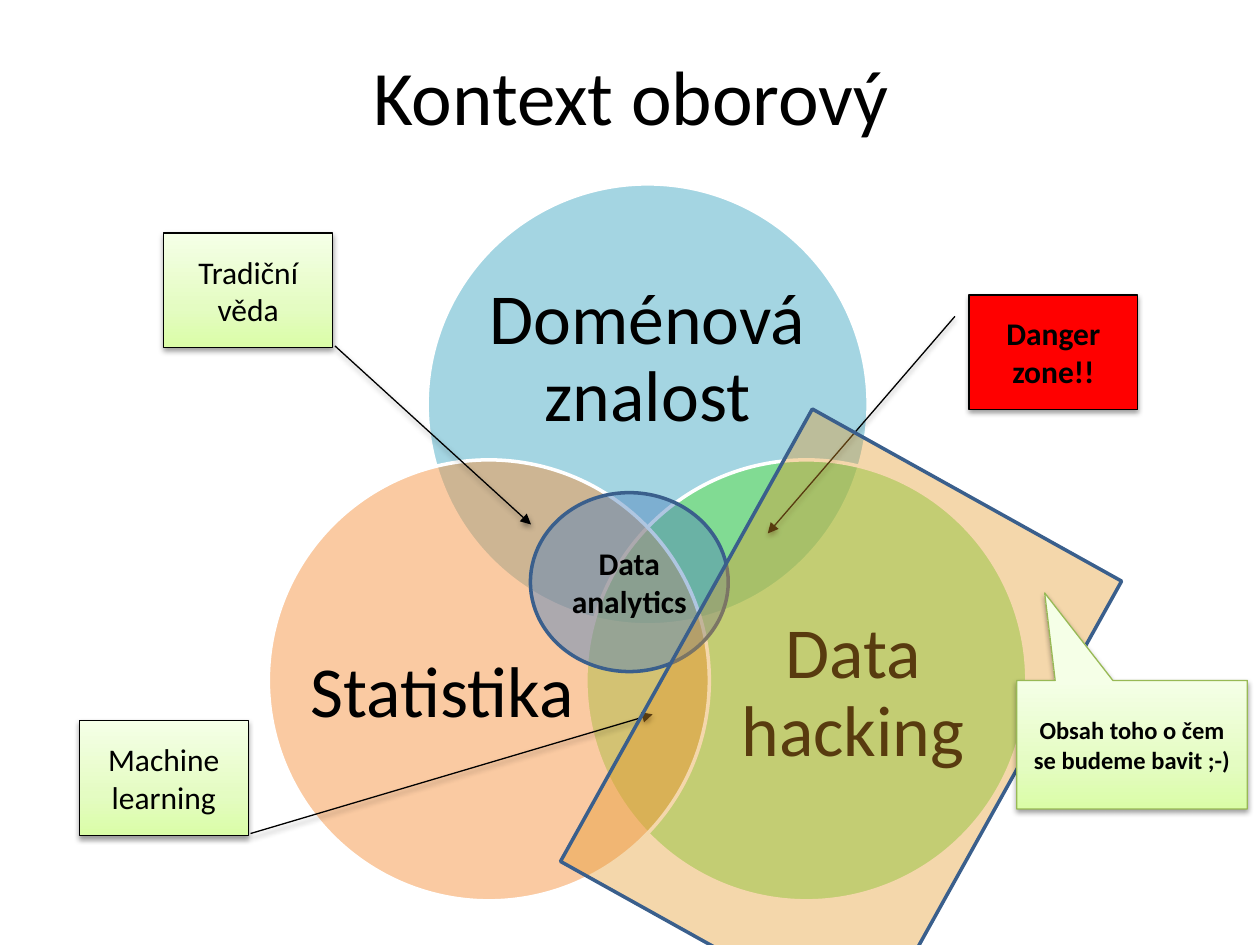
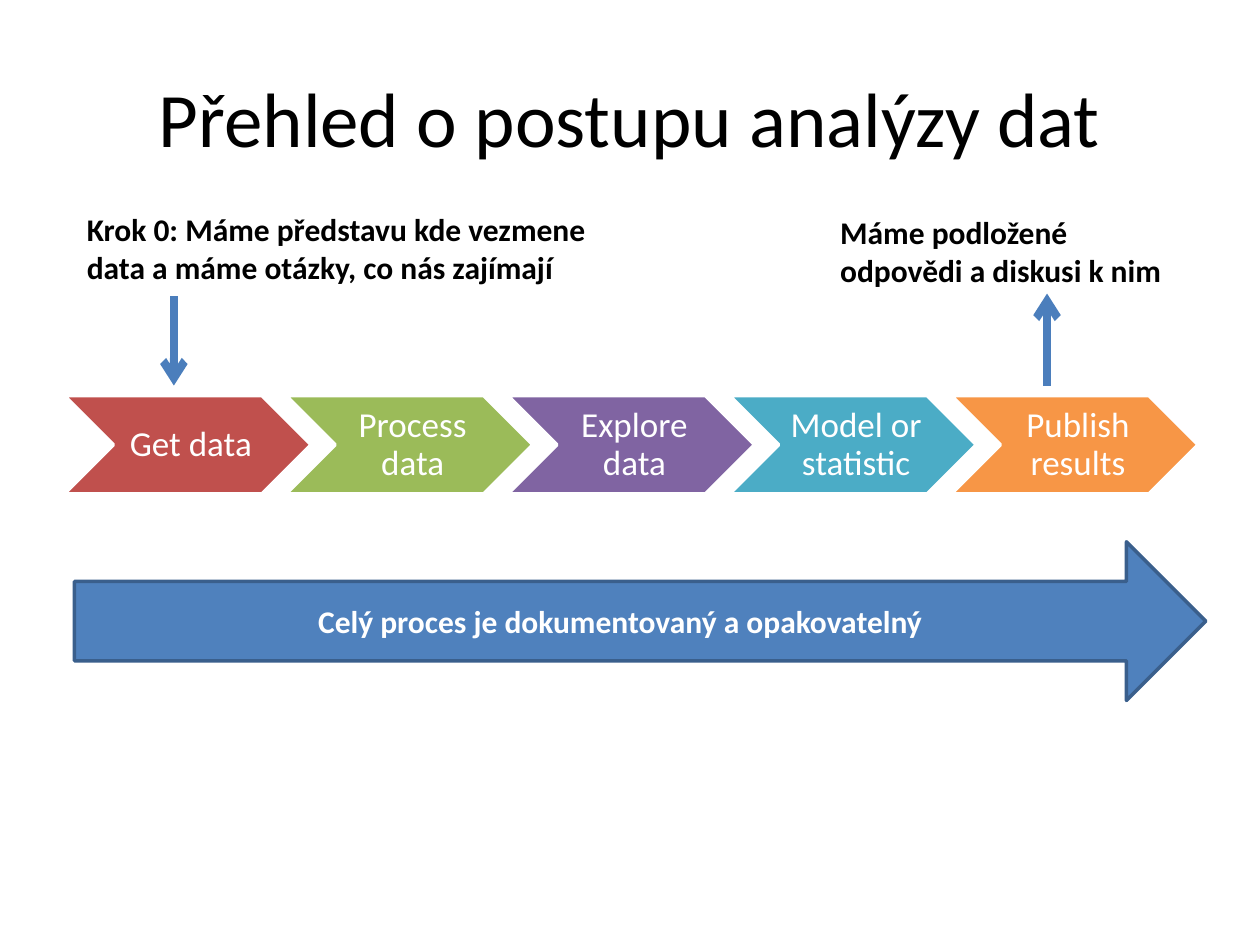
from dataclasses import dataclass

from lxml.etree import SubElement
from pptx import Presentation
from pptx.dml.color import RGBColor
from pptx.enum.shapes import MSO_CONNECTOR, MSO_SHAPE
from pptx.enum.text import MSO_ANCHOR, PP_ALIGN
from pptx.oxml.ns import qn
from pptx.shapes.autoshape import Shape
from pptx.slide import Slide
from pptx.text.text import TextFrame
from pptx.util import Inches, Pt

FONT = "Calibri"
BLACK = RGBColor(0x00, 0x00, 0x00)
WHITE = RGBColor(0xFF, 0xFF, 0xFF)
BLUE = RGBColor(0x4F, 0x81, 0xBD)
ARROW_BLUE = RGBColor(0x4B, 0x7E, 0xBC)
NAVY = RGBColor(0x3A, 0x5F, 0x8C)
RED = RGBColor(0xC0, 0x50, 0x4D)
GREEN = RGBColor(0x9B, 0xBB, 0x59)
PURPLE = RGBColor(0x80, 0x64, 0xA2)
AQUA = RGBColor(0x4B, 0xAC, 0xC6)
ORANGE = RGBColor(0xF7, 0x96, 0x46)
LIME = RGBColor(0x60, 0xE1, 0x46)
OCHRE = RGBColor(0xE3, 0x98, 0x29)
DANGER = RGBColor(0xFF, 0x00, 0x00)
LEAF = RGBColor(0x98, 0xB9, 0x55)
PALE_GREEN_STOPS = (
    (0, RGBColor(0xDA, 0xFD, 0xA7)),
    (35, RGBColor(0xE4, 0xFC, 0xC2)),
    (100, RGBColor(0xF5, 0xFF, 0xE7)),
)


@dataclass(frozen=True)
class Box:
    left: float
    top: float
    width: float
    height: float


@dataclass(frozen=True)
class TextStyle:
    size: float
    color: RGBColor = BLACK
    bold: bool = False
    align: PP_ALIGN = PP_ALIGN.CENTER
    anchor: MSO_ANCHOR = MSO_ANCHOR.MIDDLE
    spacing: float = 1.0
    insets: tuple[float, float, float, float] = (0.1, 0.05, 0.1, 0.05)


@dataclass(frozen=True)
class Field:
    label: str
    circle: Box
    label_box: Box
    color: RGBColor


@dataclass(frozen=True)
class Callout:
    label: str
    left: float
    top: float
    pointer: tuple[float, float, float, float]
    danger: bool = False


@dataclass(frozen=True)
class Note:
    label: str
    box: Box
    arrow_x: float
    arrow_start: float
    arrow_end: float


TITLE = TextStyle(44)
FIELD_LABEL = TextStyle(41, spacing=0.9, insets=(0, 0, 0, 0))
STEP_LABEL = TextStyle(20, WHITE, spacing=0.9, insets=(0.09, 0.03, 0.03, 0.03))
BODY = TextStyle(18)
BODY_BOLD = TextStyle(18, bold=True)
NOTE = TextStyle(18, bold=True, align=PP_ALIGN.LEFT, anchor=MSO_ANCHOR.TOP)
BANNER = TextStyle(18, WHITE, bold=True)
BUBBLE = TextStyle(14, bold=True)

CIRCLE = 3.5
FIELDS = (
    Field("Doménová znalost", Box(3.39, 1.46, CIRCLE, CIRCLE), Box(3.86, 2.07, 2.56, 1.57), AQUA),
    Field("Data hacking", Box(4.65, 3.65, CIRCLE, CIRCLE), Box(5.72, 4.55, 2.1, 1.92), LIME),
    Field("Statistika", Box(2.13, 3.65, CIRCLE, CIRCLE), Box(2.46, 4.55, 2.1, 1.92), ORANGE),
)
CALLOUTS = (
    Callout("Tradiční věda", 1.3, 1.85, (0.984, 1.014, 2.542, 2.175)),
    Callout("Danger zone!!", 7.69, 2.34, (0.188, -0.083, 2.081, -1.191), danger=True),
    Callout("Machine learning", 0.63, 5.72, (0.984, 1.014, -0.056, 3.395)),
)
STEPS = (
    ("Get data", RED),
    ("Process data", GREEN),
    ("Explore data", PURPLE),
    ("Model or statistic", AQUA),
    ("Publish results", ORANGE),
)
STEP_LEFT, STEP_TOP, STEP_PITCH = 0.51, 3.14, 1.76
NOTES = (
    Note("Krok 0: Máme představu kde vezmene data a máme otázky, co nás zajímají",
         Box(0.59, 1.62, 4.65, 0.71), 1.38, 2.35, 3.06),
    Note("Máme podložené odpovědi a diskusi k nim",
         Box(6.57, 1.64, 2.76, 0.71), 8.31, 3.06, 2.33),
)


def write(frame: TextFrame, text: str, style: TextStyle) -> None:
    """Fill a text frame with one styled paragraph."""
    frame.word_wrap = True
    frame.vertical_anchor = style.anchor
    left, top, right, bottom = style.insets
    frame.margin_left, frame.margin_top = Inches(left), Inches(top)
    frame.margin_right, frame.margin_bottom = Inches(right), Inches(bottom)
    frame.text = text
    para = frame.paragraphs[0]
    para.alignment = style.align
    para.line_spacing = style.spacing
    for span in para.runs:
        span.font.name = FONT
        span.font.size = Pt(style.size)
        span.font.bold = style.bold
        span.font.color.rgb = style.color


def add_text(page: Slide, box: Box, text: str, style: TextStyle) -> None:
    """Place a text box."""
    shape = page.shapes.add_textbox(
        Inches(box.left), Inches(box.top), Inches(box.width), Inches(box.height))
    write(shape.text_frame, text, style)


def add_figure(page: Slide, preset: MSO_SHAPE, box: Box, fill: RGBColor, line: RGBColor,
               line_width: float = 2, opacity: int = 100) -> Shape:
    """Place a preset shape with a solid fill and an outline."""
    shape = page.shapes.add_shape(
        preset, Inches(box.left), Inches(box.top), Inches(box.width), Inches(box.height))
    shape.shadow.inherit = False
    shape.fill.solid()
    shape.fill.fore_color.rgb = fill
    shape.line.color.rgb = line
    shape.line.width = Pt(line_width)
    if opacity < 100:
        color = shape.element.spPr.find(qn("a:solidFill")).find(qn("a:srgbClr"))
        SubElement(color, qn("a:alpha"), val=str(opacity * 1000))
    return shape


def add_shadow(shape: Shape) -> None:
    """Give a shape a soft shadow just below it."""
    effects = shape.element.spPr.find(qn("a:effectLst"))
    shadow = SubElement(effects, qn("a:outerShdw"), blurRad=str(Pt(3.1)), dist=str(Pt(1.6)),
                        dir="5400000", rotWithShape="0")
    color = SubElement(shadow, qn("a:srgbClr"), val=str(BLACK))
    SubElement(color, qn("a:alpha"), val="38000")


def fill_pale_green(shape: Shape) -> None:
    """Fill a shape with the pale green gradient, darkest at the bottom."""
    shape.fill.gradient()
    shape.fill.gradient_angle = 90
    stops = shape.element.spPr.find(qn("a:gradFill")).find(qn("a:gsLst"))
    for stop in list(stops):
        stops.remove(stop)
    for position, color in PALE_GREEN_STOPS:
        stop = SubElement(stops, qn("a:gs"), pos=str(position * 1000))
        SubElement(stop, qn("a:srgbClr"), val=str(color))


def set_pointer(shape: Shape, values: tuple[float, ...]) -> None:
    """Aim the pointer of a callout."""
    for index, value in enumerate(values):
        shape.adjustments[index] = value


def add_callout(page: Slide, callout: Callout) -> None:
    """Place a label with an arrow to its overlap of the circles."""
    box = Box(callout.left, callout.top, 1.34, 0.91)
    shape = add_figure(page, MSO_SHAPE.LINE_CALLOUT_1, box, DANGER, BLACK, 0.75)
    if not callout.danger:
        fill_pale_green(shape)
    set_pointer(shape, callout.pointer)
    SubElement(shape.line._get_or_add_ln(), qn("a:tailEnd"), type="triangle")
    add_shadow(shape)
    write(shape.text_frame, callout.label, BODY_BOLD if callout.danger else BODY)


def add_arrow(page: Slide, x: float, start: float, end: float) -> None:
    """Draw a thick vertical arrow."""
    arrow = page.shapes.add_connector(
        MSO_CONNECTOR.STRAIGHT, Inches(x), Inches(start), Inches(x), Inches(end))
    arrow.line.color.rgb = ARROW_BLUE
    arrow.line.width = Pt(4.5)
    properties = arrow._element.spPr
    SubElement(properties.find(qn("a:ln")), qn("a:tailEnd"), type="arrow")
    SubElement(properties, qn("a:effectLst"))


def build_context(page: Slide) -> None:
    """Draw the diagram of overlapping fields."""
    add_text(page, Box(0.51, 0.13, 9, 1.25), "Kontext oborový", TITLE)
    for field in FIELDS:
        add_figure(page, MSO_SHAPE.OVAL, field.circle, field.color, WHITE, opacity=50)
        add_text(page, field.label_box, field.label, FIELD_LABEL)
    for callout in CALLOUTS:
        add_callout(page, callout)
    core = add_figure(page, MSO_SHAPE.OVAL, Box(4.21, 3.91, 1.57, 1.42), BLUE, NAVY, opacity=45)
    write(core.text_frame, "Data analytics", BODY_BOLD)
    scope = add_figure(
        page, MSO_SHAPE.RECTANGLE, Box(5.27, 3.67, 2.81, 4.11), OCHRE, NAVY, opacity=39)
    scope.rotation = 29.1
    bubble = add_figure(
        page, MSO_SHAPE.RECTANGULAR_CALLOUT, Box(8.07, 5.4, 1.83, 1.02), WHITE, LEAF, 0.75)
    fill_pale_green(bubble)
    set_pointer(bubble, (-0.379, -1.181))
    add_shadow(bubble)
    write(bubble.text_frame, "Obsah toho o čem se budeme bavit ;-)", BUBBLE)


def build_process(page: Slide) -> None:
    """Draw the steps of the analysis."""
    add_text(page, Box(0.5, 0.3, 9, 1.25), "Přehled o postupu analýzy dat", TITLE)
    for index, (label, color) in enumerate(STEPS):
        left = STEP_LEFT + index * STEP_PITCH
        add_figure(page, MSO_SHAPE.CHEVRON, Box(left, STEP_TOP, 1.96, 0.78), color, WHITE)
        add_text(page, Box(left + 0.39, STEP_TOP, 1.17, 0.78), label, STEP_LABEL)
    banner = add_figure(page, MSO_SHAPE.RIGHT_ARROW, Box(0.59, 4.3, 8.98, 1.26), BLUE, NAVY)
    write(banner.text_frame, "Celý proces je dokumentovaný a opakovatelný", BANNER)
    for note in NOTES:
        add_text(page, note.box, note.label, NOTE)
        add_arrow(page, note.arrow_x, note.arrow_start, note.arrow_end)


def main() -> None:
    """Build and save the deck."""
    deck = Presentation()
    deck.slide_width, deck.slide_height = Inches(10), Inches(7.5)
    for build in (build_context, build_process):
        build(deck.slides.add_slide(deck.slide_layouts[6]))
    deck.save("out.pptx")


main()
